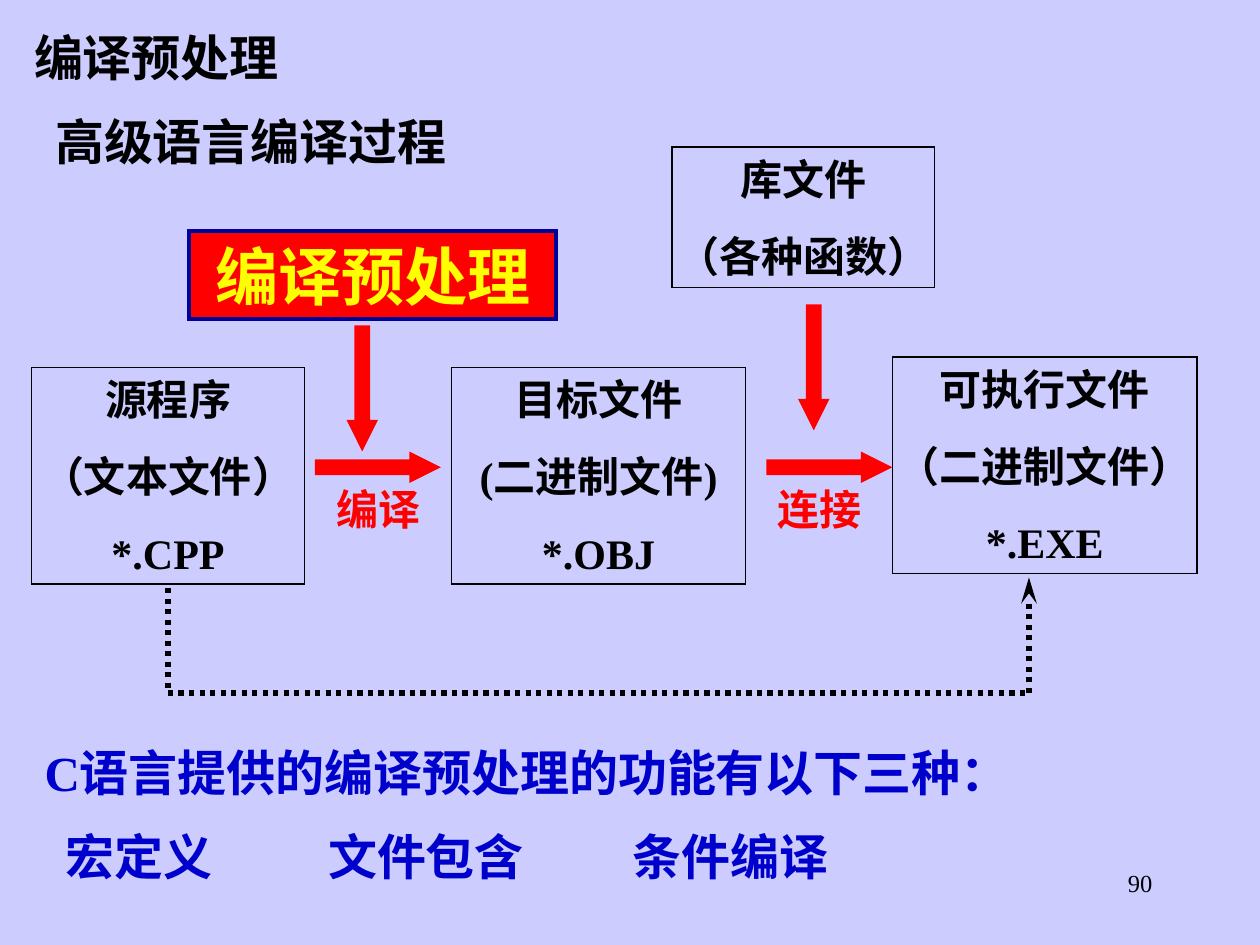
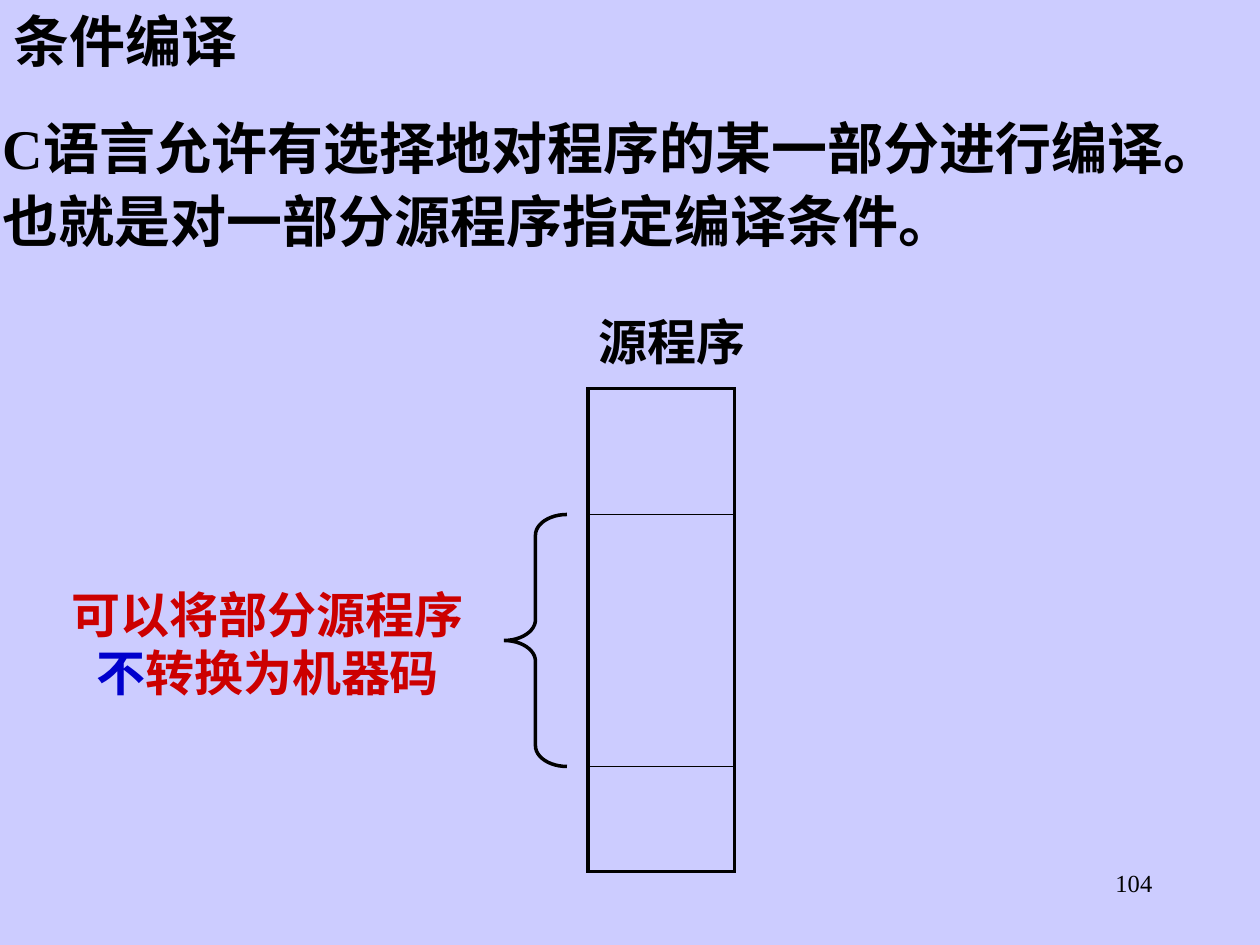
from dataclasses import dataclass
from typing import Optional

from lxml import etree
from pptx import Presentation
from pptx import util as u
from pptx.dml.color import RGBColor
from pptx.enum import dml, shapes, text
from pptx.oxml.ns import qn

EMU_PER_PX = 9525
FONT = "Times New Roman"
COLORS = {
    "background": "CCCCFF",
    "black": "000000",
    "red": "FF0000",
    "dark_red": "CC0000",
    "blue": "0000CC",
    "navy": "000099",
    "yellow": "FFFF00",
}
ALIGN = text.PP_ALIGN
SHAPE = shapes.MSO_SHAPE
WIDE, SIDELESS, TIGHT, NONE = (10, 5), (0, 5), (2, 1), (0, 0)


@dataclass(frozen=True)
class Box:
    left: int
    top: int
    width: int
    height: int


@dataclass(frozen=True)
class TextStyle:
    size: int
    color: str = "black"
    bold: bool = True
    align: ALIGN = ALIGN.LEFT
    insets: tuple[int, int] = WIDE
    space_before: int = 0
    line_spacing: Optional[float] = None
    grow: bool = True


@dataclass(frozen=True)
class Label:
    box: Box
    lines: tuple[str, ...]
    style: TextStyle


@dataclass(frozen=True)
class Line:
    start: tuple[int, int]
    end: tuple[int, int]
    width: float
    dotted: bool = False
    arrow: bool = False


HEADING = TextStyle(28)
TITLE = TextStyle(32)
BODY = TextStyle(32, insets=TIGHT, line_spacing=1.1)
FEATURE = TextStyle(28, "blue", insets=TIGHT, line_spacing=1.1)
STAGE = TextStyle(24, align=ALIGN.CENTER, insets=SIDELESS, space_before=15)
STEP = TextStyle(24, "red", align=ALIGN.CENTER, insets=NONE)
HIGHLIGHT = TextStyle(36, "yellow", align=ALIGN.CENTER)
CAPTION = TextStyle(28, align=ALIGN.CENTER)
PAGE_NUMBER = TextStyle(14, bold=False, align=ALIGN.RIGHT, grow=False)


def px(value: int) -> u.Emu:
    return u.Emu(value * EMU_PER_PX)


def rgb(name: str) -> RGBColor:
    return RGBColor.from_string(COLORS[name])


def place(box: Box) -> tuple[u.Emu, ...]:
    return px(box.left), px(box.top), px(box.width), px(box.height)


def write(shape, lines: tuple[str, ...], style: TextStyle) -> None:
    frame = shape.text_frame
    frame.word_wrap = True
    frame.vertical_anchor = text.MSO_ANCHOR.TOP
    frame.margin_left = frame.margin_right = px(style.insets[0])
    frame.margin_top = frame.margin_bottom = px(style.insets[1])
    if style.grow:
        frame.auto_size = text.MSO_AUTO_SIZE.SHAPE_TO_FIT_TEXT
    for index, line in enumerate(lines):
        paragraph = frame.add_paragraph() if index else frame.paragraphs[0]
        paragraph.text = line
        paragraph.alignment = style.align
        if index:
            paragraph.space_before = u.Pt(style.space_before)
        if style.line_spacing:
            paragraph.line_spacing = style.line_spacing
        paragraph.font.name = FONT
        paragraph.font.size = u.Pt(style.size)
        paragraph.font.bold = style.bold
        paragraph.font.color.rgb = rgb(style.color)


def add_label(slide, label: Label):
    shape = slide.shapes.add_textbox(*place(label.box))
    write(shape, label.lines, label.style)
    return shape


def add_shape(slide, kind: SHAPE, box: Box, fill: Optional[str] = None,
              line: Optional[str] = None, width: float = 0.75):
    shape = slide.shapes.add_shape(kind, *place(box))
    shape.shadow.inherit = False
    if fill:
        shape.fill.solid()
        shape.fill.fore_color.rgb = rgb(fill)
    else:
        shape.fill.background()
    if line:
        shape.line.color.rgb = rgb(line)
        shape.line.width = u.Pt(width)
        etree.SubElement(shape.line._get_or_add_ln(), qn("a:miter"), lim="800000")
    else:
        shape.line.fill.background()
    return shape


def add_arrow(slide, kind: SHAPE, box: Box) -> None:
    arrow = add_shape(slide, kind, box, fill="red")
    arrow.adjustments[0] = 0.5
    arrow.adjustments[1] = 1


def add_line(slide, line: Line) -> None:
    connector = slide.shapes.add_connector(
        shapes.MSO_CONNECTOR.STRAIGHT, *map(px, line.start + line.end))
    connector.line.color.rgb = rgb("black")
    connector.line.width = u.Pt(line.width)
    if line.dotted:
        connector.line.dash_style = dml.MSO_LINE.ROUND_DOT
    if line.arrow:
        etree.SubElement(connector.line._get_or_add_ln(), qn("a:tailEnd"),
                         type="stealth", len="lg")
    etree.SubElement(connector._element.spPr, qn("a:effectLst"))


def add_slide(presentation, page: str):
    slide = presentation.slides.add_slide(presentation.slide_layouts[6])
    slide.background.fill.solid()
    slide.background.fill.fore_color.rgb = rgb("background")
    add_label(slide, Label(Box(688, 656, 200, 48), (page,), PAGE_NUMBER))
    return slide


def build_process_slide(presentation) -> None:
    slide = add_slide(presentation, "90")
    stages = (
        Label(Box(24, 280, 208, 165), ("源程序", "（文本文件）", "*.CPP"), STAGE),
        Label(Box(344, 280, 224, 165), ("目标文件", "(二进制文件)", "*.OBJ"), STAGE),
        Label(Box(680, 272, 232, 165), ("可执行文件", "（二进制文件）", "*.EXE"), STAGE),
        Label(Box(512, 112, 200, 107), ("库文件", "（各种函数）"), STAGE),
    )
    for stage in stages:
        shape = add_shape(slide, SHAPE.RECTANGLE, stage.box, line="black")
        write(shape, stage.lines, stage.style)

    corners = ((128, 448), (128, 528), (784, 528), (784, 440))
    for start, end in zip(corners, corners[1:]):
        add_line(slide, Line(start, end, 3, dotted=True, arrow=end == corners[-1]))

    for arrow_left, step_left, step in ((240, 248, "编译"), (584, 584, "连接")):
        add_label(slide, Label(Box(step_left, 368, 80, 38), (step,), STEP))
        add_arrow(slide, SHAPE.RIGHT_ARROW, Box(arrow_left, 344, 96, 24))
    for left, top in ((608, 232), (264, 248)):
        add_arrow(slide, SHAPE.DOWN_ARROW, Box(left, top, 24, 96))

    preprocessing = add_shape(slide, SHAPE.RECTANGLE, Box(144, 176, 280, 67),
                              fill="red", line="navy", width=2.25)
    write(preprocessing, ("编译预处理",), HIGHLIGHT)

    for label in (
        Label(Box(16, 16, 680, 55), ("编译预处理",), HEADING),
        Label(Box(32, 80, 552, 55), ("高级语言编译过程",), HEADING),
        Label(Box(32, 560, 760, 52), ("C语言提供的编译预处理的功能有以下三种：",), FEATURE),
        Label(Box(48, 624, 152, 52), ("宏定义",), FEATURE),
        Label(Box(248, 624, 232, 52), ("文件包含",), FEATURE),
        Label(Box(480, 624, 232, 52), ("条件编译",), FEATURE),
    ):
        add_label(slide, label)


def build_conditional_slide(presentation) -> None:
    slide = add_slide(presentation, "104")
    add_label(slide, Label(Box(0, 0, 200, 61), ("条件编译",), TITLE))
    add_label(slide, Label(
        Box(0, 80, 960, 115),
        ("C语言允许有选择地对程序的某一部分进行编译。也就是对一部分源程序指定编译条件。",),
        BODY))

    program = Box(448, 296, 112, 368)
    skipped_top, skipped_bottom = 392, 584
    add_shape(slide, SHAPE.RECTANGLE, program, line="black", width=1.75)
    brace = add_shape(slide, SHAPE.LEFT_BRACE,
                      Box(384, skipped_top, 48, skipped_bottom - skipped_top),
                      line="black", width=2)
    brace.adjustments[0] = 0.33
    for top in (skipped_top, skipped_bottom):
        add_line(slide, Line((program.left, top), (program.left + program.width, top), 1))

    add_label(slide, Label(Box(432, 232, 160, 55), ("源程序",), CAPTION))
    remark = add_label(slide, Label(Box(40, 440, 328, 100), ("可以将部分源程序",), CAPTION))
    paragraph = remark.text_frame.paragraphs[0]
    paragraph.runs[0].font.color.rgb = rgb("dark_red")
    for words, color in (("不", "blue"), ("转换为机器码", "dark_red")):
        run = paragraph.add_run()
        run.text = words
        run.font.color.rgb = rgb(color)


def main() -> None:
    presentation = Presentation()
    presentation.slide_width = px(960)
    presentation.slide_height = px(720)
    build_process_slide(presentation)
    build_conditional_slide(presentation)
    presentation.save("out.pptx")


if __name__ == "__main__":
    main()
